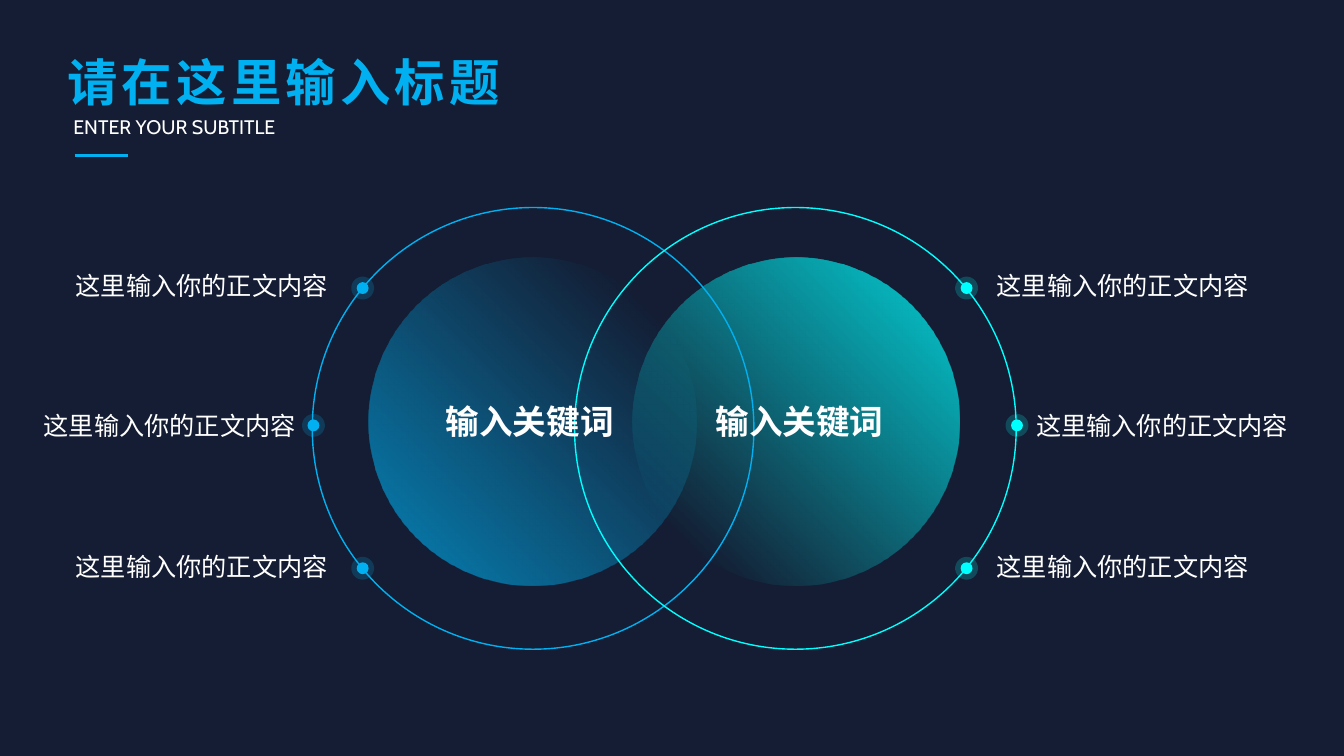
"""Build a slide with two overlapping circles, their keywords and six labelled points."""
from dataclasses import dataclass

import pptx
import pptx.dml.color
import pptx.enum.shapes
import pptx.enum.text
import pptx.oxml
import pptx.oxml.ns
import pptx.util
from pptx.util import Cm

NAVY, BLUE, CYAN, WHITE = "141D33", "00B0F0", "00FFFF", "FFFFFF"
CJK_FONT, BODY_FONT = "Noto Sans CJK JP", "Cabin"
ALIGN = pptx.enum.text.PP_ALIGN
ANCHOR = pptx.enum.text.MSO_ANCHOR
RING_SIZE, RING_TOP = 11.13, 5.23
DISC_SIZE, DISC_TOP = 8.26, 6.5
DOT_SIZE = 0.3
LABEL_WIDTH, LABEL_HEIGHT = 7.62, 1.02


@dataclass(frozen=True)
class Side:
    color: str
    ring_left: float
    disc_left: float
    gradient_angle: float
    gradient_start: float
    keyword_left: float
    outer_dot_x: float
    middle_dot_x: float
    outer_label_left: float
    middle_label_left: float
    label_align: ALIGN


@dataclass(frozen=True)
class Row:
    dot_y: float
    label_top: float
    is_middle: bool = False


@dataclass(frozen=True)
class TextStyle:
    size: float
    color: str = WHITE
    font: str = BODY_FONT
    bold: bool = False
    align: ALIGN = ALIGN.LEFT
    anchor: ANCHOR = ANCHOR.TOP
    tracking: float = 0
    line_spacing: float = 1.0


SIDES = (
    Side(BLUE, 7.87, 9.3, 45, 0, 10.85, 9.14, 7.9, 0.89, 0.08, ALIGN.RIGHT),
    Side(CYAN, 14.48, 15.93, 225, 0.1, 17.65, 24.36, 25.63, 24.87, 25.86, ALIGN.LEFT),
)
ROWS = (Row(7.26, 6.68), Row(10.72, 10.21, True), Row(14.32, 13.77))


def rgb(color: str) -> pptx.dml.color.RGBColor:
    return pptx.dml.color.RGBColor.from_string(color)


def set_alpha(color_element, percent: int) -> None:
    alpha = pptx.oxml.parse_xml(f'<a:alpha {pptx.oxml.ns.nsdecls("a")} val="{percent * 1000}"/>')
    color_element.append(alpha)


def add_circle(slide, left: float, top: float, size: float):
    shape = slide.shapes.add_shape(
        pptx.enum.shapes.MSO_SHAPE.OVAL, Cm(left), Cm(top), Cm(size), Cm(size))
    shape.shadow.inherit = False
    return shape


def add_disc(slide, side: Side) -> None:
    disc = add_circle(slide, side.disc_left, DISC_TOP, DISC_SIZE)
    disc.line.fill.background()
    disc.fill.gradient()
    disc.fill.gradient_angle = side.gradient_angle
    stops = ((side.gradient_start, 70), (0.85, 0))
    for stop, (position, opacity) in zip(disc.fill.gradient_stops, stops):
        stop.position = position
        stop.color.rgb = rgb(side.color)
    colors = disc._element.spPr.findall(".//" + pptx.oxml.ns.qn("a:srgbClr"))
    for color_element, (position, opacity) in zip(colors, stops):
        set_alpha(color_element, opacity)


def add_ring(slide, side: Side) -> None:
    ring = add_circle(slide, side.ring_left, RING_TOP, RING_SIZE)
    ring.fill.background()
    ring.line.color.rgb = rgb(side.color)
    ring.line.width = pptx.util.Pt(1)


def add_dot(slide, side: Side, row: Row) -> None:
    center_x = side.middle_dot_x if row.is_middle else side.outer_dot_x
    dot = add_circle(slide, center_x - DOT_SIZE / 2, row.dot_y - DOT_SIZE / 2, DOT_SIZE)
    dot.fill.solid()
    dot.fill.fore_color.rgb = rgb(side.color)
    dot.line.color.rgb = rgb(side.color)
    dot.line.width = pptx.util.Pt(8)
    set_alpha(dot.line._ln.find(".//" + pptx.oxml.ns.qn("a:srgbClr")), 20)


def add_text(slide, text: str, left: float, top: float, width: float, height: float,
             style: TextStyle) -> None:
    frame = slide.shapes.add_textbox(Cm(left), Cm(top), Cm(width), Cm(height)).text_frame
    frame.word_wrap = True
    frame.auto_size = pptx.enum.text.MSO_AUTO_SIZE.SHAPE_TO_FIT_TEXT
    frame.vertical_anchor = style.anchor
    paragraph = frame.paragraphs[0]
    paragraph.text = text
    paragraph.alignment = style.align
    paragraph.line_spacing = style.line_spacing
    paragraph.font.size = pptx.util.Pt(style.size)
    paragraph.font.bold = style.bold
    paragraph.font.color.rgb = rgb(style.color)
    paragraph.font.name = style.font
    properties = paragraph._p.pPr.find(pptx.oxml.ns.qn("a:defRPr"))
    properties.append(pptx.oxml.parse_xml(
        f'<a:ea {pptx.oxml.ns.nsdecls("a")} typeface="{CJK_FONT}"/>'))
    if style.tracking:
        properties.set("spc", str(int(style.tracking * 100)))


def add_label(slide, side: Side, row: Row) -> None:
    left = side.middle_label_left if row.is_middle else side.outer_label_left
    add_text(slide, "这里输入你的正文内容", left, row.label_top, LABEL_WIDTH, LABEL_HEIGHT,
             TextStyle(18, align=side.label_align))


def add_heading(slide) -> None:
    add_text(slide, "请在这里输入标题", 1.45, 1.32, 29.21, 1.65,
             TextStyle(36, BLUE, CJK_FONT, True, anchor=ANCHOR.MIDDLE,
                       tracking=3, line_spacing=0.9))
    add_text(slide, "ENTER YOUR SUBTITLE", 1.6, 2.77, 6.38, 0.86,
             TextStyle(14, align=ALIGN.JUSTIFY))
    rule = slide.shapes.add_connector(
        pptx.enum.shapes.MSO_CONNECTOR.STRAIGHT, Cm(1.88), Cm(3.91), Cm(3.23), Cm(3.91))
    rule.line.color.rgb = rgb(BLUE)
    rule.line.width = pptx.util.Pt(2)
    rule._element.spPr.append(
        pptx.oxml.parse_xml(f'<a:effectLst {pptx.oxml.ns.nsdecls("a")}/>'))


def main() -> None:
    presentation = pptx.Presentation()
    presentation.slide_width, presentation.slide_height = Cm(33.87), Cm(19.05)
    slide = presentation.slides.add_slide(presentation.slide_layouts[6])
    slide.background.fill.solid()
    slide.background.fill.fore_color.rgb = rgb(NAVY)
    for add_layer in (add_disc, add_ring):
        for side in SIDES:
            add_layer(slide, side)
    for side in SIDES:
        for row in ROWS:
            add_dot(slide, side, row)
            add_label(slide, side, row)
        add_text(slide, "输入关键词", side.keyword_left, 9.98, 5, 1.27,
                 TextStyle(24, font=CJK_FONT, bold=True, align=ALIGN.CENTER))
    add_heading(slide)
    presentation.save("out.pptx")


if __name__ == "__main__":
    main()
